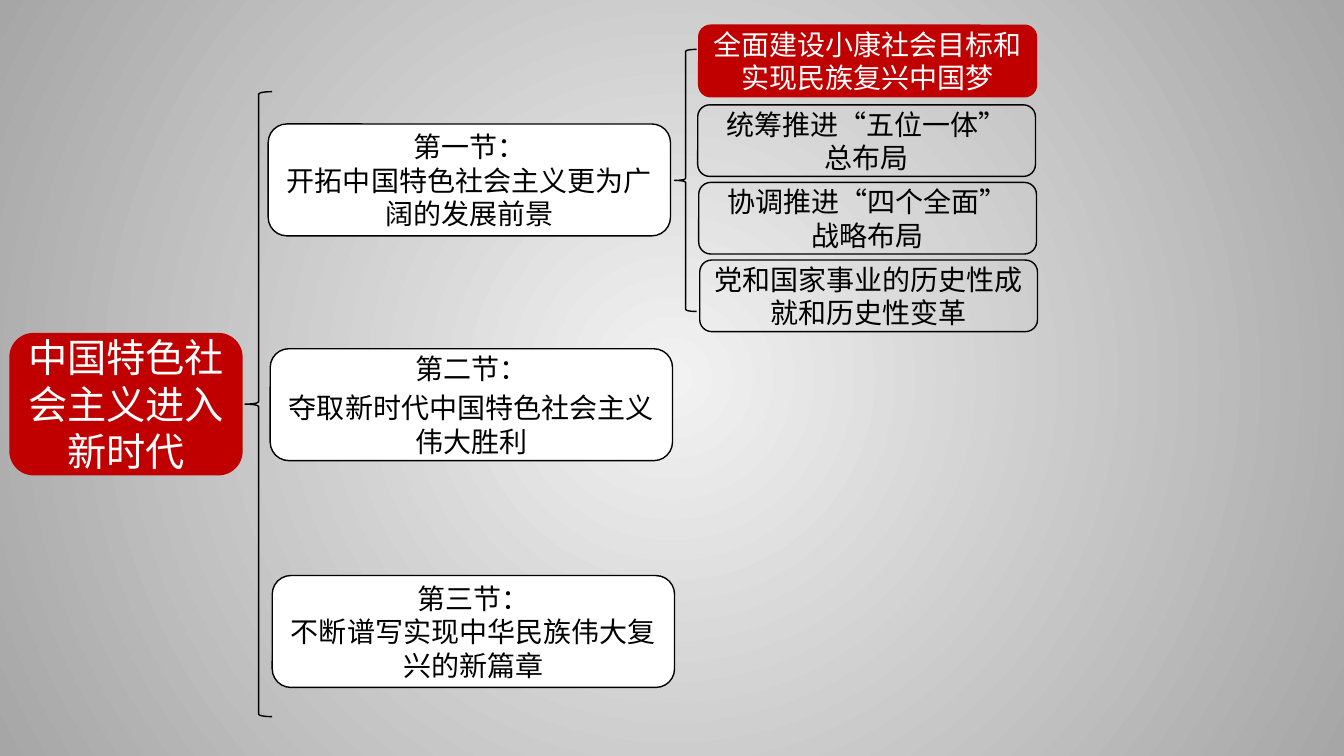
from dataclasses import dataclass

from lxml import etree
from pptx import Presentation
from pptx.dml.color import RGBColor
from pptx.enum.shapes import MSO_SHAPE
from pptx.enum.text import MSO_ANCHOR, PP_ALIGN
from pptx.oxml.ns import qn
from pptx.shapes.autoshape import Shape
from pptx.slide import Slide
from pptx.util import Inches, Pt

ROUNDED = MSO_SHAPE.ROUNDED_RECTANGLE
BRACE = MSO_SHAPE.LEFT_BRACE
MIDDLE = MSO_ANCHOR.MIDDLE
CENTER = PP_ALIGN.CENTER

FONT = "Noto Sans CJK SC"
RED = RGBColor(0xC0, 0x00, 0x00)
WHITE = RGBColor(0xFF, 0xFF, 0xFF)
BLACK = RGBColor(0x00, 0x00, 0x00)
LIGHT_GRAY = RGBColor(0xF2, 0xF2, 0xF2)
DARK_GRAY = RGBColor(0xA6, 0xA6, 0xA6)


@dataclass(frozen=True)
class Node:
    lines: tuple[str, ...]
    left: float
    top: float
    width: float
    height: float
    fill: RGBColor | None = None
    line: RGBColor = BLACK
    color: RGBColor = BLACK
    size: int = 20
    gap: int = 0


@dataclass(frozen=True)
class Brace:
    left: float
    top: float
    width: float
    height: float


ROOT = Node(("中国特色社会主义进入新时代",), 0.1, 3.31, 2.3, 1.4,
            fill=RED, line=RED, color=WHITE, size=28)

SECTIONS = [
    Node(lines, 2.66 + 0.02 * row, top, 3.99, 1.11, fill=WHITE, gap=gap)
    for row, (top, gap, lines) in enumerate([
        (1.23, 0, ("第一节：", "开拓中国特色社会主义更为广阔的发展前景")),
        (3.46, 4, ("第二节：", "夺取新时代中国特色社会主义伟大胜利")),
        (5.71, 0, ("第三节：", "不断谱写实现中华民族伟大复兴的新篇章")),
    ])
]

TOPIC_SIZE = (3.35, 0.71)
TOPICS = [
    Node(("全面建设小康社会目标和实现民族复兴中国梦",), 6.93, 0.25, *TOPIC_SIZE,
         fill=RED, line=RED, color=WHITE),
    *(
        Node(lines, 6.92 + 0.01 * row, 1.04 + 0.77 * row, *TOPIC_SIZE)
        for row, lines in enumerate([
            ("统筹推进“五位一体”", "总布局"),
            ("协调推进“四个全面”", "战略布局"),
            ("党和国家事业的历史性成就和历史性变革",),
        ])
    ),
]

ROOT_BRACE = Brace(2.43, 0.91, 0.27, 6.2)
TOPIC_BRACE = Brace(6.69, 0.49, 0.22, 2.6)


def paint_background(page: Slide) -> None:
    """Fill the page with a circular gradient, light in the centre."""
    fill = page.background.fill
    fill.gradient()
    for stop, color in zip(fill.gradient_stops, (LIGHT_GRAY, DARK_GRAY)):
        stop.color.rgb = color
    for stop, position in zip(fill.gradient_stops, (0, 1)):
        stop.position = position
    gradient = next(page.element.iter(qn("a:gradFill")))
    linear = gradient.find(qn("a:lin"))
    circle = etree.Element(qn("a:path"))
    circle.set("path", "circle")
    center = etree.SubElement(circle, qn("a:fillToRect"))
    for side in "ltrb":
        center.set(side, "50000")
    gradient.replace(linear, circle)


def add_outlined_shape(page: Slide, kind: MSO_SHAPE, item: Node | Brace,
                       fill: RGBColor | None, line: RGBColor) -> Shape:
    shape = page.shapes.add_shape(kind, Inches(item.left), Inches(item.top),
                                  Inches(item.width), Inches(item.height))
    shape.shadow.inherit = False
    if fill is None:
        shape.fill.background()
    else:
        shape.fill.solid()
        shape.fill.fore_color.rgb = fill
    shape.line.color.rgb = line
    shape.line.width = Pt(1)
    return shape


def write_text(box: Shape, lines: tuple[str, ...], *, size: int,
               color: RGBColor, gap: int) -> None:
    frame = box.text_frame
    frame.word_wrap = True
    frame.vertical_anchor = MIDDLE
    for index, line in enumerate(lines):
        para = frame.add_paragraph() if index else frame.paragraphs[0]
        para.alignment = CENTER
        if index and gap:
            para.space_before = Pt(gap)
        span = para.add_run()
        span.text = line
        span.font.size = Pt(size)
        span.font.color.rgb = color
        span.font.name = FONT
        properties = span.font._element if hasattr(span.font, "_element") else span._r.rPr
        properties.set("lang", "zh-CN")
        east_asian = etree.SubElement(properties, qn("a:ea"))
        east_asian.set("typeface", FONT)


def draw_node(page: Slide, node: Node) -> None:
    box = add_outlined_shape(page, ROUNDED, node, node.fill, node.line)
    write_text(box, node.lines, size=node.size, color=node.color, gap=node.gap)


def draw_brace(page: Slide, brace: Brace) -> None:
    add_outlined_shape(page, BRACE, brace, None, BLACK)


def main() -> None:
    deck = Presentation()
    deck.slide_width = Inches(13.33)
    deck.slide_height = Inches(7.5)
    page = deck.slides.add_slide(deck.slide_layouts[6])
    paint_background(page)
    for brace in (ROOT_BRACE, TOPIC_BRACE):
        draw_brace(page, brace)
    for node in (ROOT, *SECTIONS, *TOPICS):
        draw_node(page, node)
    deck.save("out.pptx")


if __name__ == "__main__":
    main()
